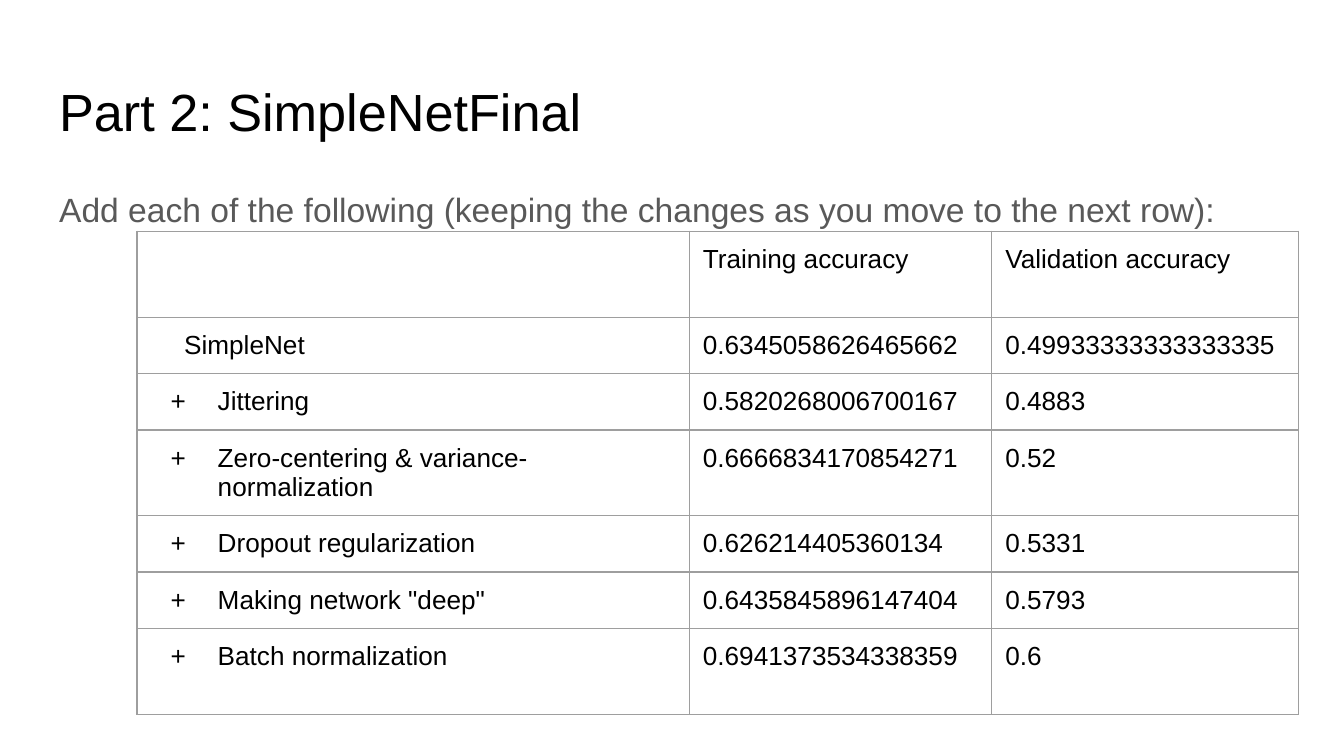
from dataclasses import dataclass
from pptx import Presentation
from pptx import util as u
from pptx.dml.color import RGBColor
from pptx.enum import text as t
from pptx.oxml import parse_xml
from pptx.oxml.ns import nsdecls

HUES = {"ink": "000000", "body": "595959", "rule": "9E9E9E"}
FONT = "Arial"
PAD = u.Inches(0.1)
WIDE = 10


@dataclass
class Row:
    name: str
    train: str
    valid: str
    high: float = 0.42
    plus: bool = True


ROWS = [
    Row("", "Training accuracy", "Validation accuracy", 0.64, False),
    Row("SimpleNet", "0.6345058626465662", "0.49933333333333335", plus=False),
    Row("Jittering", "0.5820268006700167", "0.4883"),
    Row("Zero-centering & variance-normalization", "0.6666834170854271", "0.52", 0.62),
    Row("Dropout regularization", "0.626214405360134", "0.5331"),
    Row("Making network \"deep\"", "0.6435845896147404", "0.5793"),
    Row("Batch normalization", "0.6941373534338359", "0.6", 0.64),
]
COLS = [4.11, 2.25, 2.28]


def write(para, words: str, size: float, hue: str) -> None:
    run = para.add_run()
    run.text = words
    run.font.size = u.Pt(size)
    run.font.name = FONT
    run.font.color.rgb = RGBColor.from_string(HUES[hue])


def indent(para, left: float, hang: float, mark: str = "") -> None:
    props = para._p.get_or_add_pPr()
    props.set("marL", str(u.Inches(left)))
    props.set("indent", str(u.Inches(hang)))
    ns = nsdecls("a")
    if mark:
        props.append(parse_xml(f'<a:buClr {ns}><a:srgbClr val="{HUES["ink"]}"/></a:buClr>'))
        props.append(parse_xml(f'<a:buFont {ns} typeface="{FONT}"/>'))
        props.append(parse_xml(f'<a:buChar {ns} char="{mark}"/>'))
    else:
        props.append(parse_xml(f"<a:buNone {ns}/>"))


def border(cell) -> None:
    props = cell._tc.get_or_add_tcPr()
    for spot, side in enumerate("LRTB"):
        props.insert(spot, parse_xml(
            f'<a:ln{side} {nsdecls("a")} w="{u.Pt(0.75)}"><a:solidFill>'
            f'<a:srgbClr val="{HUES["rule"]}"/></a:solidFill></a:ln{side}>'))


def pad(box) -> None:
    box.margin_left = box.margin_right = PAD
    box.margin_top = box.margin_bottom = PAD


def fill_box(shape, top: float, high: float, words: str, size: float,
             hue: str, space: float) -> None:
    shape.left, shape.top = u.Inches(0.34), u.Inches(top)
    shape.width, shape.height = u.Inches(9.32), u.Inches(high)
    frame = shape.text_frame
    pad(frame)
    frame.word_wrap = True
    frame.auto_size = t.MSO_AUTO_SIZE.NONE
    frame.vertical_anchor = t.MSO_ANCHOR.TOP
    para = frame.paragraphs[0]
    para.alignment = t.PP_ALIGN.LEFT
    para.line_spacing = space
    para.space_before = u.Pt(0)
    indent(para, 0, 0)
    write(para, words, size, hue)


def add_grid(slide) -> None:
    high = sum(row.high for row in ROWS)
    grid = slide.shapes.add_table(
        len(ROWS), len(COLS), u.Inches(1.02), u.Inches(1.72),
        u.Inches(sum(COLS)), u.Inches(high)).table
    grid.first_row = grid.horz_banding = False
    for col, wide in zip(grid.columns, COLS):
        col.width = u.Inches(wide)
    for line, row in zip(grid.rows, ROWS):
        line.height = u.Inches(row.high)
        for cell, words in zip(line.cells, (row.name, row.train, row.valid)):
            pad(cell)
            cell.fill.background()
            border(cell)
            if words:
                write(cell.text_frame.paragraphs[0], words, 14, "ink")
        lead = line.cells[0].text_frame.paragraphs[0]
        if row.plus:
            indent(lead, 0.5, -0.35, "+")
        elif row.name:
            indent(lead, 0.25, 0)


def main() -> None:
    deck = Presentation()
    deck.slide_width = u.Inches(WIDE)
    deck.slide_height = u.Inches(WIDE * 9 / 16)
    slide = deck.slides.add_slide(deck.slide_layouts[1])
    title, body = slide.placeholders
    fill_box(title, 0.49, 0.63, "Part 2: SimpleNetFinal", 28, "ink", 1)
    fill_box(body, 1.26, 3.74,
             "Add each of the following (keeping the changes as you move to the next row):",
             18, "body", 1.15)
    add_grid(slide)
    deck.save("out.pptx")


if __name__ == "__main__":
    main()
